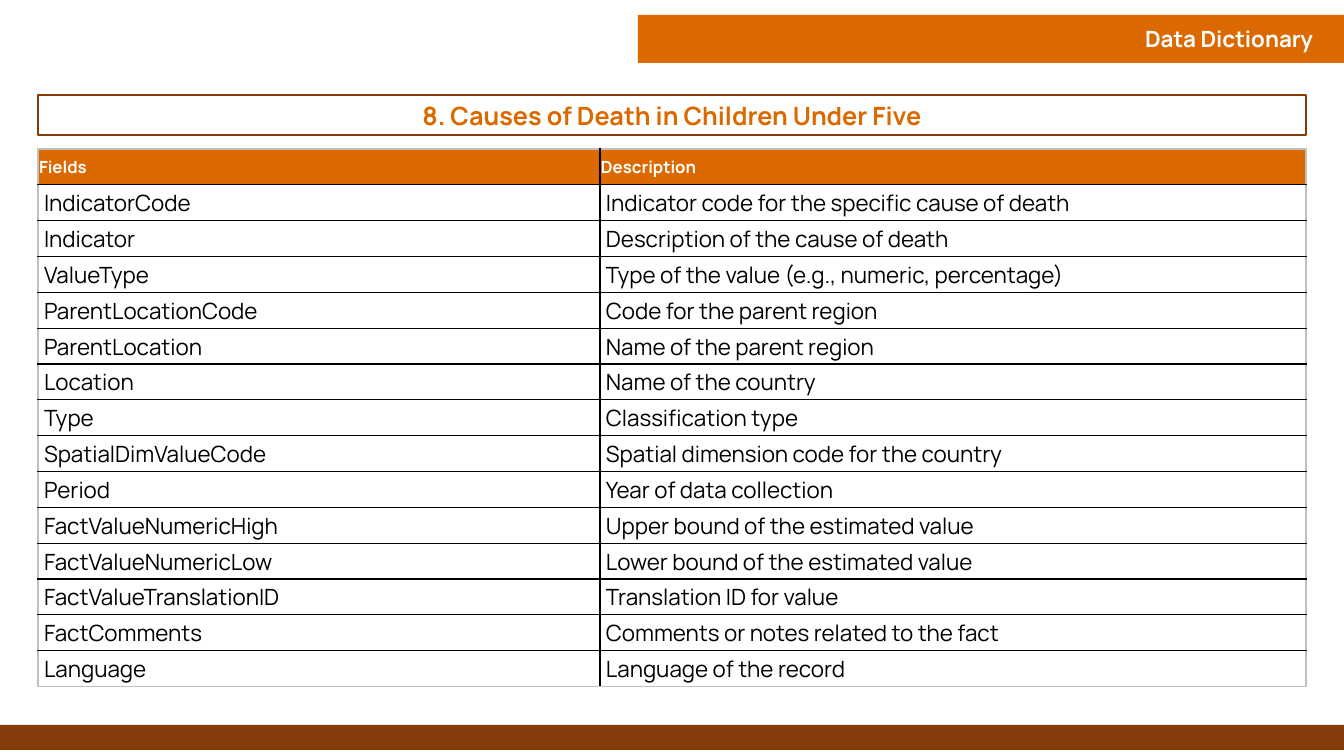
"""Build the data dictionary slide for causes of death in children under five."""
from dataclasses import dataclass

import pptx
import pptx.dml.color
import pptx.enum.shapes
import pptx.enum.text
import pptx.oxml
import pptx.oxml.ns
import pptx.util

EMU_PER_PX = 914400 / 100.8
FONT = "Manrope"
ORANGE, BROWN, WHITE, BLACK, GREY = "DC6900", "843C0B", "FFFFFF", "000000", "BFBFBF"
LEFT = pptx.enum.text.PP_ALIGN.LEFT
CENTER = pptx.enum.text.PP_ALIGN.CENTER
RIGHT = pptx.enum.text.PP_ALIGN.RIGHT
MIDDLE = pptx.enum.text.MSO_ANCHOR.MIDDLE


@dataclass(frozen=True)
class Box:
    """A place on the slide, in px."""
    x: int
    y: int
    w: int
    h: int


@dataclass(frozen=True)
class Bar:
    """A rectangle with an optional fill and outline."""
    box: Box
    fill: str | None = None
    line: str | None = None


@dataclass(frozen=True)
class Style:
    """The look of a text."""
    size: int
    color: str
    bold: bool = False
    align: pptx.enum.text.PP_ALIGN = LEFT


@dataclass(frozen=True)
class CellStyle:
    """The look of a table cell, with its insets in px."""
    text: Style
    fill: str | None
    insets: tuple[int, int, int, int]


@dataclass(frozen=True)
class Field:
    """A row of the dictionary."""
    name: str
    description: str


FOOTER = Bar(Box(0, 725, 1344, 25), fill=BROWN)
BANNER = Bar(Box(638, 15, 706, 48), fill=ORANGE)
HEADING = Bar(Box(38, 95, 1268, 40), line=BROWN)
BANNER_TEXT = Box(889, 20, 434, 37)
TABLE = Box(38, 149, 1268, 538)
COLUMNS = (562, 706)
HEADER_CELL = CellStyle(Style(12, WHITE, bold=True), ORANGE, (1, 1, 1, 0))
BODY_CELL = CellStyle(Style(16, BLACK), None, (6, 3, 6, 3))
FIELDS = (
    Field("Fields", "Description"),
    Field("IndicatorCode", "Indicator code for the specific cause of death"),
    Field("Indicator", "Description of the cause of death"),
    Field("ValueType", "Type of the value (e.g., numeric, percentage)"),
    Field("ParentLocationCode", "Code for the parent region"),
    Field("ParentLocation", "Name of the parent region"),
    Field("Location", "Name of the country"),
    Field("Type", "Classification type"),
    Field("SpatialDimValueCode", "Spatial dimension code for the country"),
    Field("Period", "Year of data collection"),
    Field("FactValueNumericHigh", "Upper bound of the estimated value"),
    Field("FactValueNumericLow", "Lower bound of the estimated value"),
    Field("FactValueTranslationID", "Translation ID for value"),
    Field("FactComments", "Comments or notes related to the fact"),
    Field("Language", "Language of the record"),
)


def px(n: float) -> pptx.util.Emu:
    """Turn px into EMU."""
    return pptx.util.Emu(round(n * EMU_PER_PX))


def rgb(color: str) -> pptx.dml.color.RGBColor:
    """Turn a hex string into a colour."""
    return pptx.dml.color.RGBColor.from_string(color)


def place(box: Box) -> tuple[pptx.util.Emu, ...]:
    """Give left, top, width and height in EMU."""
    return px(box.x), px(box.y), px(box.w), px(box.h)


def set_fill(target, color: str | None) -> None:
    """Fill a shape or cell, or leave it clear."""
    if color is None:
        target.fill.background()
    else:
        target.fill.solid()
        target.fill.fore_color.rgb = rgb(color)


def write(tf, text: str, style: Style) -> None:
    """Write one run into a text frame."""
    p = tf.paragraphs[0]
    p.alignment = style.align
    r = p.add_run()
    r.text = text
    r.font.name = FONT
    r.font.size = pptx.util.Pt(style.size)
    r.font.bold = style.bold
    r.font.color.rgb = rgb(style.color)


def add_bar(s, bar: Bar):
    """Draw a rectangle and return it."""
    sp = s.shapes.add_shape(pptx.enum.shapes.MSO_SHAPE.RECTANGLE, *place(bar.box))
    sp.shadow.inherit = False
    set_fill(sp, bar.fill)
    if bar.line is None:
        sp.line.fill.background()
    else:
        sp.line.color.rgb = rgb(bar.line)
        sp.line.width = pptx.util.Pt(1.5)
    return sp


def set_borders(cell, colors: dict[str, str]) -> None:
    """Draw the cell's four sides, each one point wide."""
    props = cell._tc.get_or_add_tcPr()
    for i, (side, color) in enumerate(colors.items()):
        props.insert(i, pptx.oxml.parse_xml(
            f'<a:{side} {pptx.oxml.ns.nsdecls("a")} w="12700"><a:solidFill>'
            f'<a:srgbClr val="{color}"/></a:solidFill></a:{side}>'))


def fill_cell(cell, text: str, style: CellStyle) -> None:
    """Write and style one table cell."""
    set_fill(cell, style.fill)
    cell.vertical_anchor = MIDDLE
    (cell.margin_left, cell.margin_top,
     cell.margin_right, cell.margin_bottom) = map(px, style.insets)
    write(cell.text_frame, text, style.text)


def add_dictionary(s, fields: tuple[Field, ...]) -> None:
    """Draw the table of fields and descriptions."""
    last_row, last_col = len(fields) - 1, len(COLUMNS) - 1
    table = s.shapes.add_table(len(fields), len(COLUMNS), *place(TABLE)).table
    table.first_row = table.horz_banding = False
    for column, width in zip(table.columns, COLUMNS):
        column.width = px(width)
    for i, field in enumerate(fields):
        table.rows[i].height = px(TABLE.h / len(fields))
        for j, text in enumerate((field.name, field.description)):
            cell = table.cell(i, j)
            fill_cell(cell, text, BODY_CELL if i else HEADER_CELL)
            outer = {"lnL": j == 0, "lnR": j == last_col,
                     "lnT": i == 0, "lnB": i == last_row}
            set_borders(cell, {side: GREY if edge else BLACK
                               for side, edge in outer.items()})


def main() -> None:
    """Build and save the slide."""
    prs = pptx.Presentation()
    prs.slide_width, prs.slide_height = px(1344), px(756)
    s = prs.slides.add_slide(prs.slide_layouts[6])
    add_bar(s, FOOTER)
    add_bar(s, BANNER)
    tf = s.shapes.add_textbox(*place(BANNER_TEXT)).text_frame
    tf.word_wrap = True
    write(tf, "Data Dictionary", Style(16, WHITE, True, RIGHT))
    tf = add_bar(s, HEADING).text_frame
    tf.vertical_anchor = MIDDLE
    write(tf, "8. Causes of Death in Children Under Five",
          Style(18, ORANGE, True, CENTER))
    add_dictionary(s, FIELDS)
    prs.save("out.pptx")


if __name__ == "__main__":
    main()
